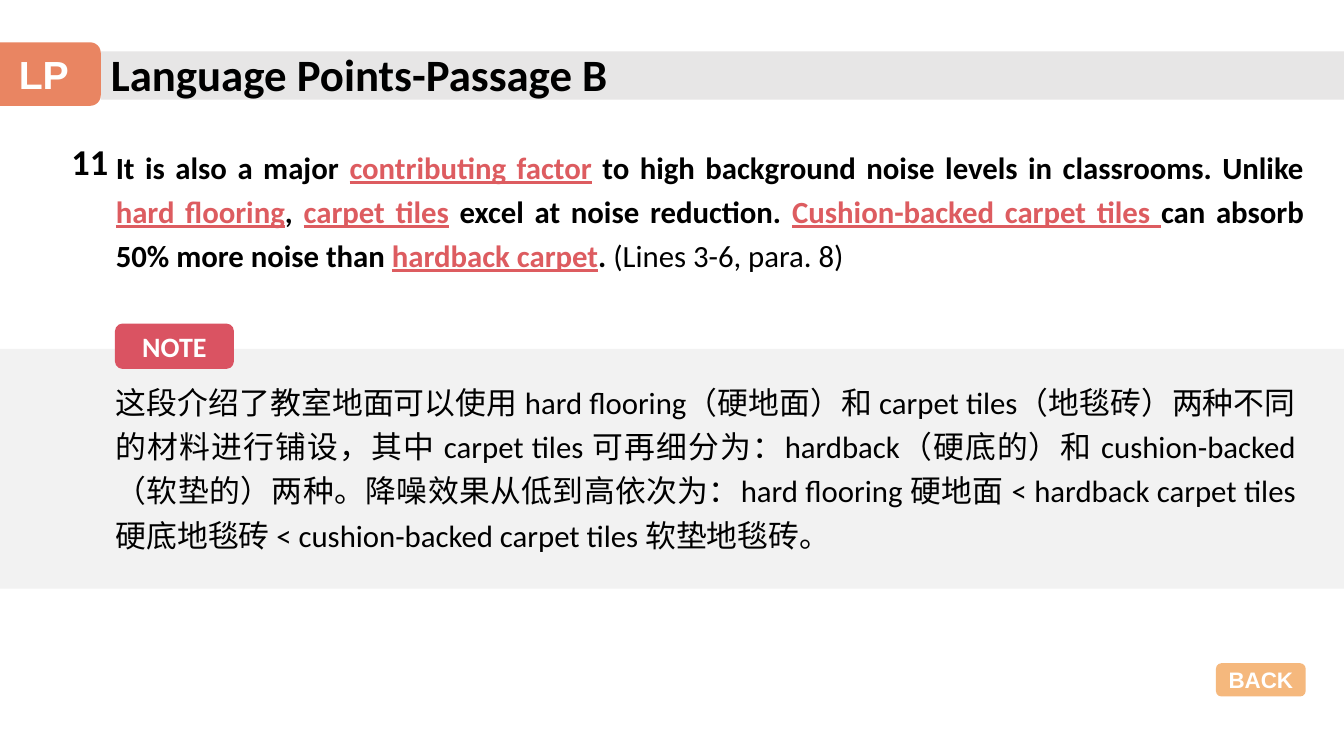
from pptx import Presentation
from pptx.dml.color import RGBColor
from pptx.enum.shapes import MSO_SHAPE
from pptx.enum.text import MSO_ANCHOR, MSO_AUTO_SIZE, PP_ALIGN
from pptx.util import Inches, Pt

RECTANGLE = MSO_SHAPE.RECTANGLE
ROUNDED = MSO_SHAPE.ROUNDED_RECTANGLE
TOP, MIDDLE = MSO_ANCHOR.TOP, MSO_ANCHOR.MIDDLE
NO_AUTOSIZE = MSO_AUTO_SIZE.NONE
LEFT, CENTER, JUSTIFY = PP_ALIGN.LEFT, PP_ALIGN.CENTER, PP_ALIGN.JUSTIFY

SLIDE_WIDTH, SLIDE_HEIGHT = 13.33, 7.5
TITLE_ONLY = 5
COLORS = {
    "text": "000000",
    "white": "FFFFFF",
    "title_band": "E7E6E6",
    "section_tab": "E98562",
    "key_phrase": "DD5C60",
    "note_band": "F2F2F2",
    "note_label": "DA5362",
    "back_button": "F5B87D",
}
SENTENCE = [
    ("It is also a major ", "plain"),
    ("contributing factor", "key"),
    (" to high background noise levels in classrooms. Unlike ", "plain"),
    ("hard flooring", "key"),
    (", ", "plain"),
    ("carpet tiles", "key"),
    (" excel at noise reduction. ", "plain"),
    ("Cushion-backed carpet tiles ", "key"),
    ("can absorb 50% more noise than ", "plain"),
    ("hardback carpet", "key"),
    (". ", "plain"),
    ("(Lines 3-6, para. 8)", "source"),
]
NOTE = (
    "这段介绍了教室地面可以使用 hard flooring（硬地面）和 carpet tiles（地毯砖）"
    "两种不同的材料进行铺设，其中 carpet tiles 可再细分为：hardback（硬底的）和 "
    "cushion-backed（软垫的）两种。降噪效果从低到高依次为：hard flooring 硬地面 < "
    "hardback carpet tiles 硬底地毯砖 < cushion-backed carpet tiles 软垫地毯砖。"
)


def rgb(name):
    return RGBColor.from_string(COLORS[name])


def style(paragraph, size, color="text", bold=None, name="Calibri", align=LEFT):
    paragraph.alignment = align
    font = paragraph.font
    font.name, font.size, font.bold = name, Pt(size), bold
    font.color.rgb = rgb(color)


def add_block(slide, kind, box, color):
    shape = slide.shapes.add_shape(kind, *map(Inches, box))
    shape.shadow.inherit = False
    shape.fill.solid()
    shape.fill.fore_color.rgb = rgb(color)
    shape.line.fill.background()
    return shape


def add_label(slide, box, text, color, size, name):
    frame = add_block(slide, ROUNDED, box, color).text_frame
    frame.vertical_anchor = MIDDLE
    frame.margin_left = frame.margin_right = 0
    frame.text = text
    style(frame.paragraphs[0], size, "white", True, name, CENTER)


def add_text(slide, box):
    frame = slide.shapes.add_textbox(*map(Inches, box)).text_frame
    frame.word_wrap = True
    return frame.paragraphs[0]


def add_header(slide, box):
    left, top, width, height = box
    tab_width = 1.13
    right = left + tab_width
    add_block(slide, RECTANGLE, (right, top + 0.09, width - tab_width, 0.48), "title_band")
    add_label(slide, (left, top, tab_width, height), "LP", "section_tab", 28, "Arial")

    title = slide.shapes.title
    title.left, title.top = Inches(right), Inches(top - 0.01)
    title.width, title.height = Inches(5.27), Inches(height)
    frame = title.text_frame
    frame.text = "Language Points-Passage B"
    frame.auto_size = NO_AUTOSIZE
    frame.vertical_anchor = TOP
    style(frame.paragraphs[0], 32, bold=True)
    title.element.getparent().append(title.element)


def add_sentence(slide, box):
    left, top, width, height = box
    number = add_text(slide, (left, top, 0.63, 0.54))
    number.text = "11"
    style(number, 26, bold=True)

    indent = 0.44
    paragraph = add_text(slide, (left + indent, top + 0.02, width - indent, height))
    paragraph.line_spacing = 1.2
    style(paragraph, 22, align=JUSTIFY)
    for text, role in SENTENCE:
        run = paragraph.add_run()
        run.text = text
        run.font.bold = role != "source"
        if role == "key":
            run.font.underline = True
            run.font.color.rgb = rgb("key_phrase")


def add_note(slide, box):
    left, top, width, height = box
    add_block(slide, RECTANGLE, box, "note_band")
    paragraph = add_text(slide, (left + 1.05, top + 0.22, 11.9, 1.84))
    paragraph.text = NOTE
    paragraph.line_spacing = 1.2
    style(paragraph, 22, align=JUSTIFY)
    add_label(slide, (left + 1.14, top - 0.25, 1.18, 0.45), "NOTE", "note_label", 20, "Calibri")


def main():
    presentation = Presentation()
    presentation.slide_width = Inches(SLIDE_WIDTH)
    presentation.slide_height = Inches(SLIDE_HEIGHT)
    slide = presentation.slides.add_slide(presentation.slide_layouts[TITLE_ONLY])
    add_header(slide, (-0.13, 0.42, SLIDE_WIDTH + 0.13, 0.63))
    add_sentence(slide, (0.61, 1.33, 12.42, 1.4))
    add_note(slide, (0, 3.46, SLIDE_WIDTH, 2.38))
    add_label(slide, (12.06, 6.58, 0.89, 0.33), "BACK", "back_button", 16, "Arial")
    presentation.save("out.pptx")


if __name__ == "__main__":
    main()
